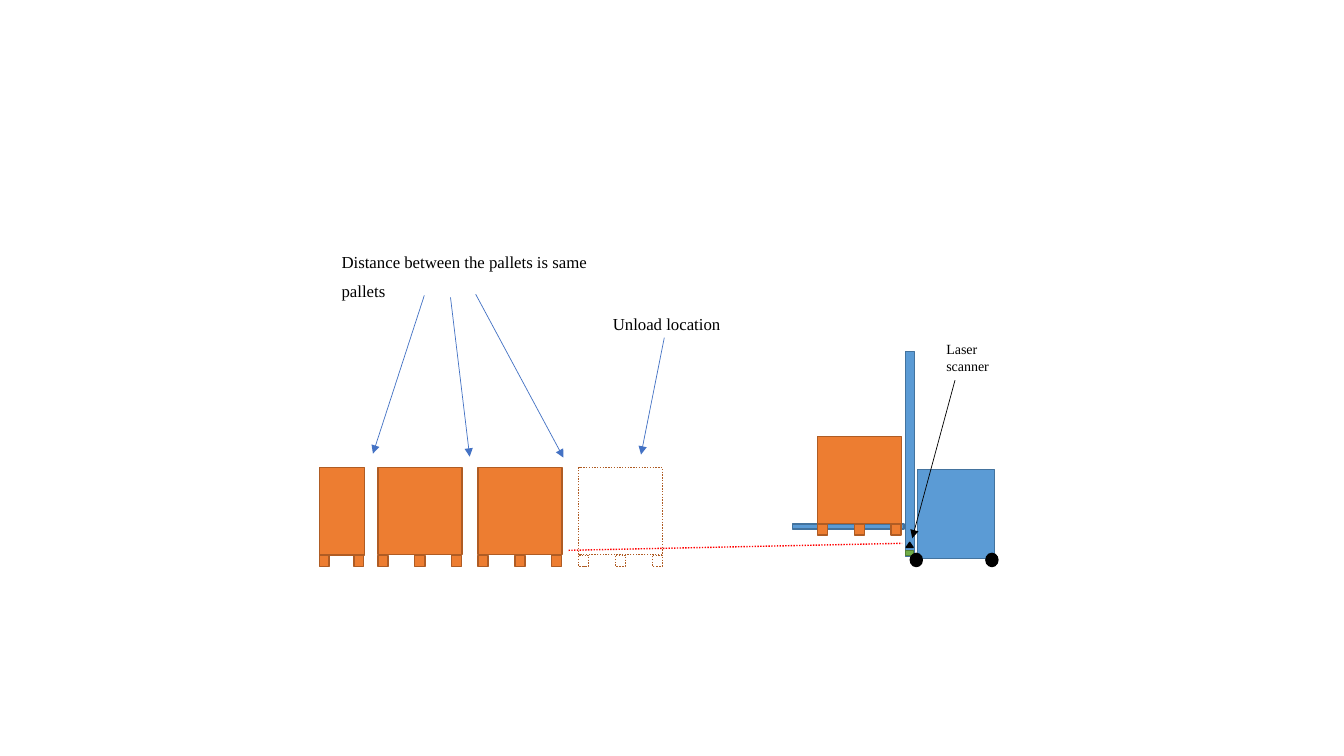
import pptx
import pptx.util
import pptx.dml.color
import pptx.enum.dml
import pptx.enum.shapes
import pptx.oxml
import pptx.oxml.ns

Pt = pptx.util.Pt
Kind = pptx.enum.shapes.MSO_SHAPE
HUES = {
    "white": "FFFFFF", "black": "000000", "red": "FF0000",
    "crate": "ED7D31", "crate edge": "AF5C24",
    "truck": "5B9BD5", "truck edge": "43739E",
    "sensor": "70AD47", "sensor edge": "538035", "arrow": "4472C4",
}


class Scene:
    font = "Times New Roman"

    def __init__(self, slide):
        self.shapes = slide.shapes

    def hue(self, name):
        return pptx.dml.color.RGBColor.from_string(HUES[name])

    def stroke(self, line, hue, width, dots):
        line.color.rgb = self.hue(hue)
        line.width = Pt(width)
        if dots:
            line.dash_style = pptx.enum.dml.MSO_LINE.ROUND_DOT

    def block(self, x, y, w, h, fill, edge, kind=Kind.RECTANGLE, dots=False):
        shape = self.shapes.add_shape(kind, Pt(x), Pt(y), Pt(w), Pt(h))
        shape.shadow.inherit = False
        shape.fill.solid()
        shape.fill.fore_color.rgb = self.hue(fill)
        self.stroke(shape.line, edge, 1, dots)

    def pallet(self, x, y, fill="crate", dots=False):
        self.block(x, y, 60, 62, fill, "crate edge", dots=dots)
        for step in range(3):
            self.block(x + 26.3 * step, y + 62.6, 7.2, 7.9, fill, "crate edge", dots=dots)

    def line(self, start, end, hue, width=0.5, dots=False, head=True):
        link = self.shapes.add_connector(
            pptx.enum.shapes.MSO_CONNECTOR.STRAIGHT, *map(Pt, start + end))
        self.stroke(link.line, hue, width, dots)
        props = link.element.spPr
        if head:
            tip = pptx.oxml.parse_xml(
                f'<a:tailEnd {pptx.oxml.ns.nsdecls("a")} type="triangle"/>')
            props.find(pptx.oxml.ns.qn("a:ln")).append(tip)
        props.append(pptx.oxml.parse_xml(
            f'<a:effectLst {pptx.oxml.ns.nsdecls("a")}/>'))

    def label(self, x, y, w, h, text, size, wrap=False):
        box = self.shapes.add_textbox(Pt(x), Pt(y), Pt(w), Pt(h))
        box.fill.solid()
        box.fill.fore_color.rgb = self.hue("white")
        frame = box.text_frame
        frame.word_wrap = wrap
        frame.text = text
        for para in frame.paragraphs:
            para.space_after = Pt(6)
            for run in para.runs:
                run.font.name = self.font
                run.font.size = Pt(size)
                run.font.color.rgb = self.hue("black")


def main():
    deck = pptx.Presentation()
    deck.slide_width, deck.slide_height = Pt(960), Pt(540)
    scene = Scene(deck.slides.add_slide(deck.slide_layouts[6]))

    scene.block(565.9, 374.4, 79.9, 3.6, "truck", "truck edge")
    scene.pallet(583.9, 311.8)
    scene.block(646.6, 251.3, 6.5, 146.2, "truck", "truck edge")
    scene.block(655.2, 335.5, 55.4, 63.4, "truck", "truck edge")

    scene.block(228.2, 334, 32.4, 62.6, "crate", "crate edge")
    for x in (228.2, 253):
        scene.block(x, 397, 6.8, 7.5, "crate", "crate edge")
    scene.pallet(270, 334)
    scene.pallet(341.5, 334)
    scene.pallet(413.3, 334, "white", dots=True)

    scene.label(236.9, 176.4, 190.8, 26.6,
                "Distance between the pallets is same\npallets", 12)
    scene.label(430.6, 220.3, 92.2, 25.2, "Unload location", 12)
    for start, end in (
        ((303.1, 211), (266.4, 324)),
        ((321.8, 212.4), (335.5, 326.2)),
        ((339.8, 210.2), (402.5, 326.9)),
        ((474.5, 241.2), (457.9, 324.7)),
    ):
        scene.line(start, end, "arrow")

    scene.block(646.6, 393.1, 5.8, 3.6, "sensor", "sensor edge")
    scene.block(647.3, 387.4, 5, 3.6, "black", "black", Kind.ISOSCELES_TRIANGLE)
    scene.line((406.1, 393.1), (644.4, 388.1), "red", 1, dots=True, head=False)
    scene.line((682.6, 270), (651.6, 384.5), "black")
    scene.label(668.9, 239.8, 46.1, 31.7, "Laser scanner", 10, wrap=True)
    for x in (650.2, 704.2):
        scene.block(x, 395.3, 8.6, 9.4, "black", "black", Kind.OVAL)

    deck.save("out.pptx")


if __name__ == "__main__":
    main()
